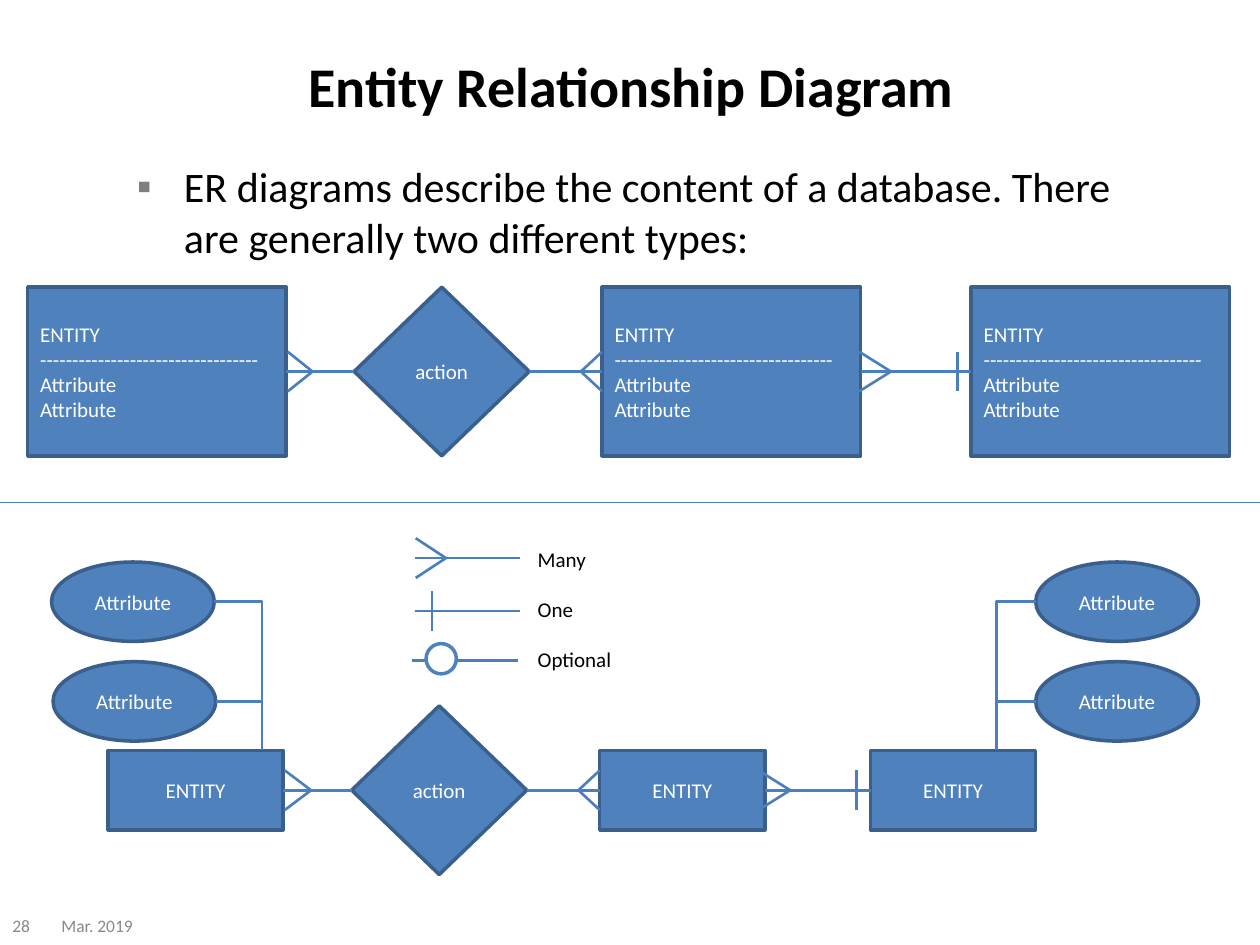
"""Build a slide that shows two styles of entity relationship diagram."""
import pptx
import pptx.dml.color
import pptx.enum.shapes
import pptx.enum.text
import pptx.oxml
import pptx.oxml.ns
import pptx.util

Cm, Pt = pptx.util.Cm, pptx.util.Pt
Color = pptx.dml.color.RGBColor
Shape = pptx.enum.shapes.MSO_SHAPE
Connector = pptx.enum.shapes.MSO_CONNECTOR
Align = pptx.enum.text.PP_ALIGN
Anchor = pptx.enum.text.MSO_ANCHOR

BLUE = Color(0x4F, 0x81, 0xBD)
EDGE = Color(0x3A, 0x5F, 0x8C)
LINK = Color(0x4B, 0x7E, 0xBC)
GRAY = Color(0x89, 0x89, 0x89)
BLACK = Color(0, 0, 0)
WHITE = Color(255, 255, 255)

TITLE = "Entity Relationship Diagram"
INTRO = "ER diagrams describe the content of a database. There are generally two different types:"
DETAILS = ["ENTITY", "-" * 34, "Attribute", "Attribute"]
LEGEND = ["Many", "One", "Optional"]
FOOTERS = [("Mar. 2019", 0.99, 2.39), ("28", 0, 1.19)]

ROWS = [
    {"middle": 7.49, "height": 3.4, "lines": DETAILS, "align": Align.LEFT, "action": 7.14,
     "entities": [(0.56, 5.21), (12.14, 5.21), (19.58, 5.21)],
     "feet": [(5.8, 6.3), (12.14, 11.71), (17.32, 17.96)], "bar": 19.3},
    {"middle": 15.93, "height": 1.6, "lines": ["ENTITY"], "align": Align.CENTER, "action": 7.09,
     "entities": [(2.18, 3.53), (12.09, 3.33), (17.55, 3.33)],
     "feet": [(5.74, 6.27), (12.09, 11.66), (15.29, 15.93)], "bar": 17.27},
]
ACTION_WIDTH, ACTION_HEIGHT = 3.53, 3.4
OVAL_WIDTH, OVAL_HEIGHT = 3.28, 1.6
OVALS = [(20.88, 11.33, 20.88, 20.09), (20.88, 13.34, 20.88, 20.09),
         (1.04, 11.33, 4.32, 5.28), (1.07, 13.34, 4.35, 5.28)]
ENTITY_TOP = 15.13
LEGEND_LINES = [(8.36, 11.25), (8.36, 12.32), (8.31, 13.31)]
LEGEND_LENGTH = 2.13
MARK_REACH = 0.4

deck = pptx.Presentation()
deck.slide_width, deck.slide_height = Cm(25.4), Cm(19.05)
page = deck.slides.add_slide(deck.slide_layouts[6])


def write(box, lines, size, color, align=Align.LEFT, anchor=Anchor.MIDDLE, bold=False, gap=0):
    frame = box.text_frame
    frame.word_wrap = True
    frame.vertical_anchor = anchor
    for index, line in enumerate(lines):
        para = frame.paragraphs[0] if index == 0 else frame.add_paragraph()
        para.alignment = align
        para.space_before = Pt(gap if index else 0)
        span = para.add_run()
        span.text = line
        span.font.color.rgb = color
        formats = {"name": "Calibri", "size": Pt(size), "bold": bold}
        for name, value in formats.items():
            setattr(span.font, name, value)
    return box


def add_text(left, top, width, height, lines, size, color, **formats):
    box = page.shapes.add_textbox(Cm(left), Cm(top), Cm(width), Cm(height))
    return write(box, lines, size, color, **formats)


def add_block(kind, left, middle, width, height, lines=(), align=Align.CENTER, fill=BLUE, edge=EDGE):
    box = page.shapes.add_shape(kind, Cm(left), Cm(middle - height / 2), Cm(width), Cm(height))
    box.shadow.inherit = False
    box.fill.solid()
    box.fill.fore_color.rgb = fill
    box.line.color.rgb = edge
    box.line.width = Pt(2)
    write(box, lines, 12, WHITE, align)


def add_link(x1, y1, x2, y2, kind=Connector.STRAIGHT, width=1.5):
    link = page.shapes.add_connector(kind, Cm(x1), Cm(y1), Cm(x2), Cm(y2))
    link.line.color.rgb = LINK
    link.line.width = Pt(width)
    properties = link._element.spPr
    properties.append(pptx.oxml.parse_xml("<a:effectLst %s/>" % pptx.oxml.ns.nsdecls("a")))
    if kind == Connector.ELBOW:
        properties.prstGeom.set("prst", "bentConnector2")


def add_foot(base, tip, middle):
    for reach in (-MARK_REACH, MARK_REACH):
        add_link(tip, middle, base, middle + reach)


def add_bar(x, middle):
    add_link(x, middle - MARK_REACH, x, middle + MARK_REACH)


add_text(1.3, 0.13, 22.86, 3.18, [TITLE], 32, BLACK, align=Align.CENTER, bold=True)
intro = add_text(2.51, 3.12, 20.19, 2.9, [INTRO], 24, BLACK, anchor=Anchor.TOP)
intro.text_frame.paragraphs[0].space_before = Pt(4.8)
bullet = intro.text_frame.paragraphs[0]._p.get_or_add_pPr()
bullet.set("marL", str(Cm(0.95)))
bullet.set("indent", str(Cm(-0.95)))
for tag in ('<a:buClr %s><a:srgbClr val="7F7F7F"/></a:buClr>',
            '<a:buFont %s typeface="Arial"/>', '<a:buChar %s char="\u25aa"/>'):
    bullet.append(pptx.oxml.parse_xml(tag % pptx.oxml.ns.nsdecls("a")))
for words, left, width in FOOTERS:
    add_text(left, 18.26, width, 0.79, [words], 10, GRAY)

for row in ROWS:
    middle = row["middle"]
    add_block(Shape.DIAMOND, row["action"], middle, ACTION_WIDTH, ACTION_HEIGHT, ["action"])
    for left, width in row["entities"]:
        add_block(Shape.RECTANGLE, left, middle, width, row["height"], row["lines"], row["align"])
    first, second, third = row["entities"]
    chain = [first, (row["action"], ACTION_WIDTH), second, third]
    for (left, width), (following, _) in zip(chain, chain[1:]):
        add_link(left + width, middle, following, middle)
    for base, tip in row["feet"]:
        add_foot(base, tip, middle)
    add_bar(row["bar"], middle)

for left, top, start, corner in OVALS:
    middle = top + OVAL_HEIGHT / 2
    add_block(Shape.OVAL, left, middle, OVAL_WIDTH, OVAL_HEIGHT, ["Attribute"])
    add_link(start, middle, corner, ENTITY_TOP, Connector.ELBOW)

add_link(0, 10.13, 25.4, 10.13, width=0.75)
for left, middle in LEGEND_LINES:
    add_link(left, middle, left + LEGEND_LENGTH, middle)
add_foot(8.38, 8.99, LEGEND_LINES[0][1])
add_bar(8.71, LEGEND_LINES[1][1])
add_block(Shape.OVAL, 8.59, 13.28, 0.61, 0.61, fill=WHITE, edge=BLUE)
add_text(10.59, 10.9, 2.39, 2.82, LEGEND, 12, BLACK, anchor=Anchor.TOP, gap=14)

deck.save("out.pptx")
